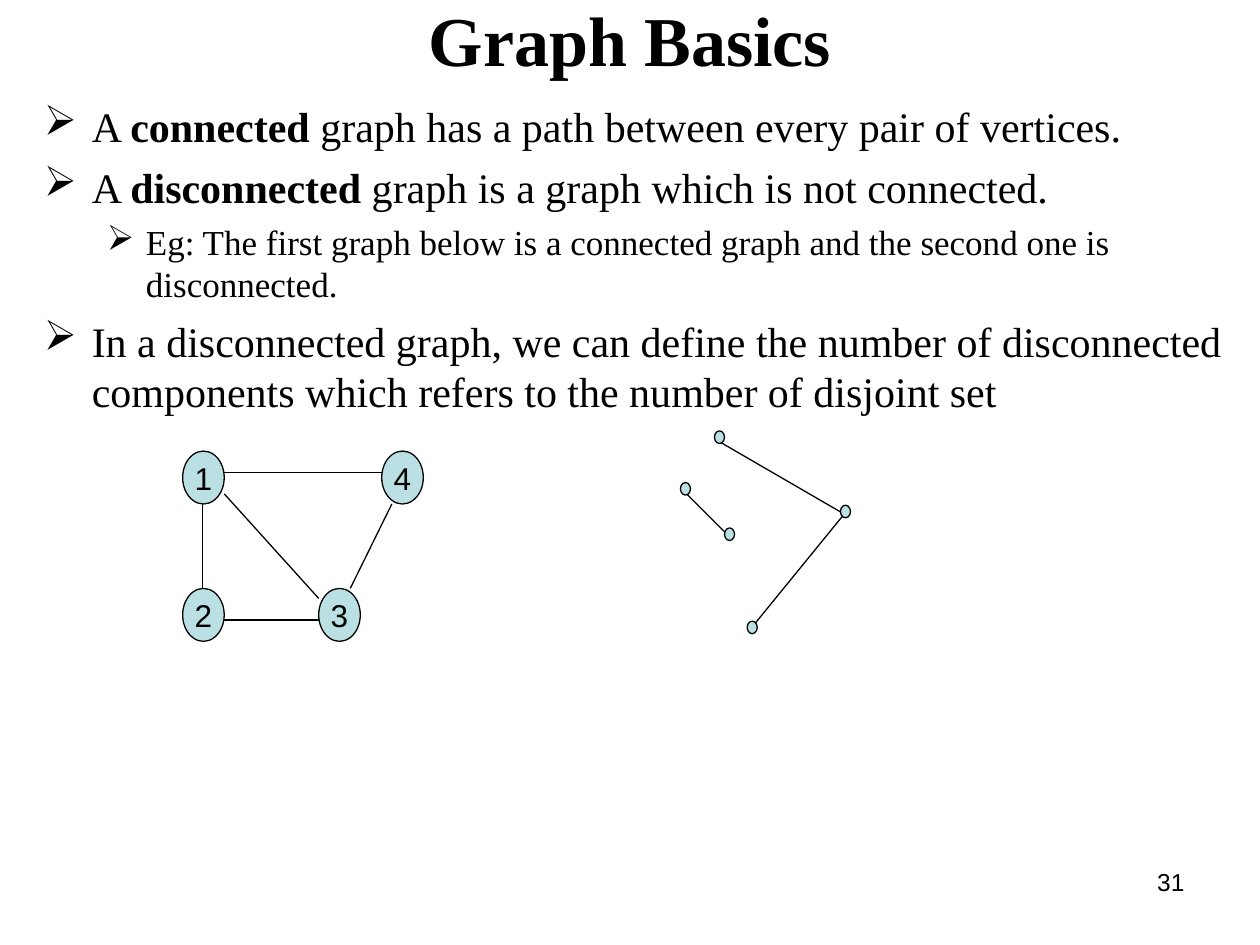
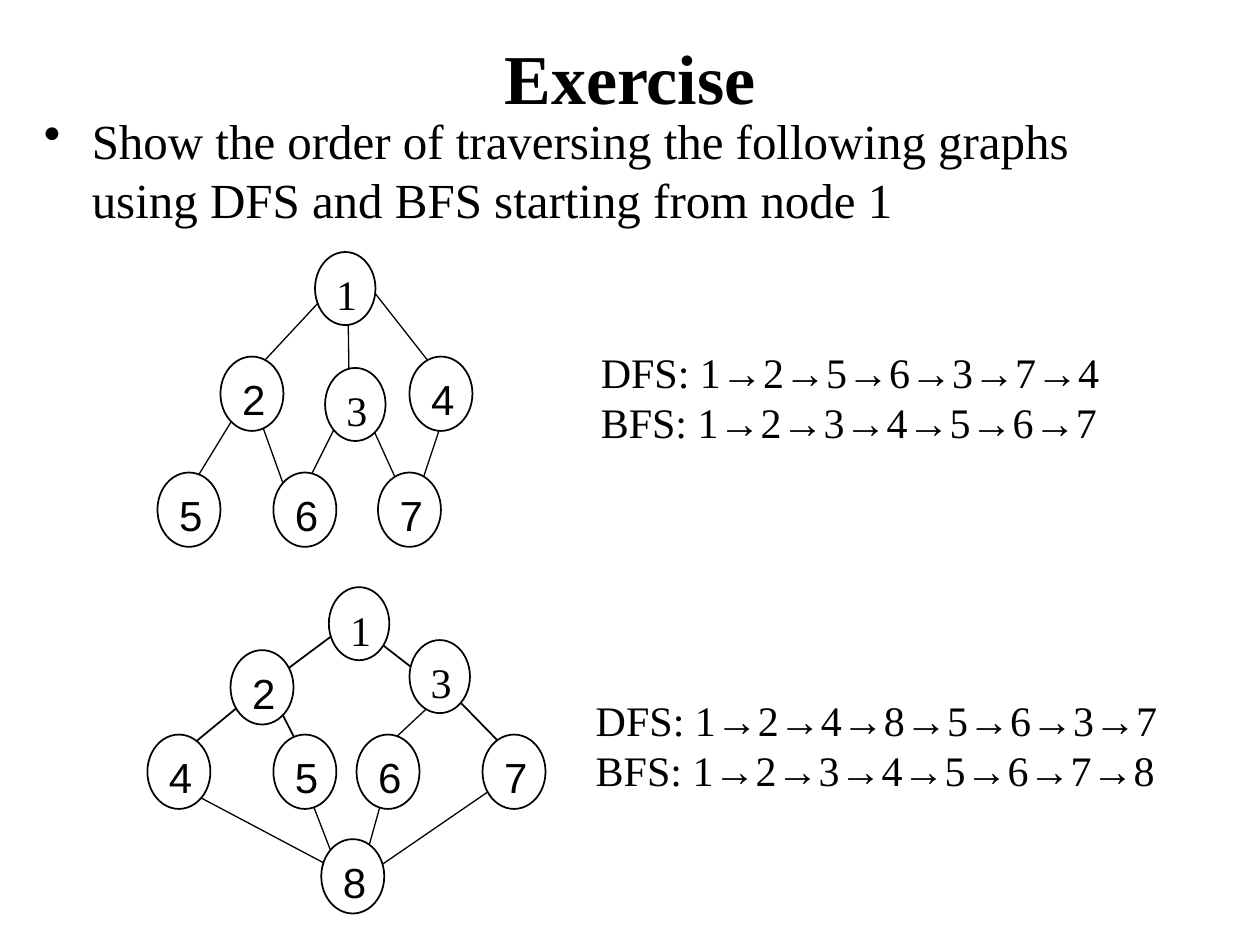
from dataclasses import dataclass
from typing import Any

from lxml import etree
from pptx import Presentation
from pptx import util as u
from pptx.dml.color import RGBColor
from pptx.enum import shapes, text
from pptx.oxml.ns import qn

PX = u.Inches(1) // 100
CENTER, LEFT, RIGHT = text.PP_ALIGN.CENTER, text.PP_ALIGN.LEFT, text.PP_ALIGN.RIGHT
TOP, MIDDLE = text.MSO_ANCHOR.TOP, text.MSO_ANCHOR.MIDDLE


@dataclass(frozen=True)
class Theme:
    ink: RGBColor = RGBColor(0, 0, 0)
    paper: RGBColor = RGBColor(255, 255, 255)
    aqua: RGBColor = RGBColor(0xBB, 0xE0, 0xE3)
    serif: str = "Times New Roman"
    sans: str = "Arial"
    title: int = 40
    lead: int = 28
    body: int = 24
    detail: int = 20
    label: int = 18
    page: int = 14
    thin: float = 0.75
    solid: float = 1


THEME = Theme()


@dataclass(frozen=True)
class Box:
    left: int
    top: int
    width: int
    height: int

    def emu(self) -> list[int]:
        return [px * PX for px in (self.left, self.top, self.width, self.height)]


@dataclass(frozen=True)
class Line:
    words: str
    size: int = THEME.body
    font: str = THEME.serif
    align: Any = LEFT
    before: int = 0
    margin: int = 0
    hanging: int = 0
    mark: str = ""


@dataclass(frozen=True)
class NodeStyle:
    width: int
    height: int
    fill: RGBColor
    weight: float
    size: int
    font: str
    align: Any
    anchor: Any
    wrap: bool


@dataclass(frozen=True)
class Node:
    label: str
    left: int
    top: int
    style: NodeStyle


@dataclass(frozen=True)
class Edge:
    x1: int
    y1: int
    x2: int
    y2: int
    weight: float = THEME.thin


@dataclass(frozen=True)
class Exercise:
    edges: list[Edge]
    nodes: list[Node]
    answer_box: Box
    answer_margin: int
    answers: list[str]


AQUA = NodeStyle(33, 42, THEME.aqua, THEME.thin, THEME.label, THEME.sans, CENTER, MIDDLE, False)
DOT = NodeStyle(8, 10, THEME.aqua, THEME.thin, THEME.label, THEME.sans, CENTER, MIDDLE, False)
SANS = NodeStyle(50, 59, THEME.paper, THEME.solid, THEME.body, THEME.sans, LEFT, TOP, True)
SERIF = NodeStyle(48, 58, THEME.paper, THEME.solid, THEME.body, THEME.serif, LEFT, TOP, True)

CONNECTED_EDGES = [
    Edge(178, 375, 303, 375), Edge(178, 392, 253, 475), Edge(278, 467, 311, 400),
    Edge(178, 492, 253, 492), Edge(161, 400, 161, 467),
]
CONNECTED_NODES = [
    Node("1", 145, 358, AQUA), Node("4", 303, 358, AQUA),
    Node("2", 145, 467, AQUA), Node("3", 253, 467, AQUA),
]
DISCONNECTED_EDGES = [
    Edge(570, 350, 670, 408), Edge(670, 408, 595, 500), Edge(545, 392, 578, 425),
]
DISCONNECTED_NODES = [
    Node("", left, top, DOT)
    for left, top in [(567, 342), (667, 401), (593, 493), (575, 419), (540, 383)]
]

BASICS = [
    Line("A **connected** graph has a path between every pair of vertices.",
         margin=38, hanging=38, mark="➢"),
    Line("A **disconnected** graph is a graph which is not connected.",
         before=6, margin=38, hanging=38, mark="➢"),
    Line("Eg: The first graph below is a connected graph and the second one is disconnected.",
         THEME.detail, before=5, margin=81, hanging=31, mark="➢"),
    Line("In a disconnected graph, we can define the number of disconnected components "
         "which refers to the number of disjoint set",
         before=6, margin=38, hanging=38, mark="➢"),
]
TASK = Line("Show the order of traversing the following graphs using DFS and BFS "
            "starting from node 1", THEME.lead, margin=38, hanging=38, mark="•")

EXERCISES = [
    Exercise(
        edges=[
            Edge(265, 227, 199, 298), Edge(276, 229, 277, 298), Edge(290, 223, 348, 297),
            Edge(187, 329, 146, 396), Edge(205, 329, 228, 393), Edge(272, 327, 239, 393),
            Edge(290, 327, 320, 393), Edge(353, 328, 329, 400),
        ],
        nodes=[
            Node("1", 250, 200, SERIF), Node("2", 175, 283, SANS), Node("3", 258, 292, SERIF),
            Node("4", 325, 283, SANS), Node("5", 125, 375, SANS), Node("6", 217, 375, SANS),
            Node("7", 300, 375, SANS),
        ],
        answer_box=Box(417, 270, 533, 130),
        answer_margin=50,
        answers=["DFS: 1→2→5→6→3→7→4", "BFS: 1→2→3→4→5→6→7"],
    ),
    Exercise(
        edges=[
            Edge(267, 502, 220, 537, THEME.solid), Edge(291, 502, 336, 537, THEME.solid),
            Edge(206, 547, 144, 598, THEME.solid), Edge(214, 547, 240, 598, THEME.solid),
            Edge(363, 555, 404, 597, THEME.solid), Edge(353, 549, 308, 591),
            Edge(240, 617, 267, 687), Edge(308, 617, 291, 678),
            Edge(302, 687, 404, 617), Edge(261, 687, 144, 625),
        ],
        nodes=[
            Node("1", 261, 466, SERIF), Node("2", 183, 516, SANS), Node("4", 117, 583, SANS),
            Node("5", 217, 583, SANS), Node("6", 283, 583, SANS), Node("3", 325, 508, SERIF),
            Node("7", 383, 583, SANS), Node("8", 255, 666, SANS),
        ],
        answer_box=Box(450, 546, 517, 130),
        answer_margin=13,
        answers=["DFS: 1→2→4→8→5→6→3→7", "BFS: 1→2→3→4→5→6→7→8"],
    ),
]


def apply(target: Any, values: dict[str, Any]) -> None:
    for name, value in values.items():
        setattr(target, name, value)


def write(frame: Any, lines: list[Line], anchor: Any = TOP, wrap: bool = True,
          bold: bool = False) -> None:
    apply(frame, {
        "auto_size": text.MSO_AUTO_SIZE.NONE, "word_wrap": wrap, "vertical_anchor": anchor,
        "margin_left": 10 * PX, "margin_right": 10 * PX,
        "margin_top": 5 * PX, "margin_bottom": 5 * PX,
    })
    for index, line in enumerate(lines):
        paragraph = frame.add_paragraph() if index else frame.paragraphs[0]
        properties = paragraph._p.get_or_add_pPr()
        properties.set("marL", str(line.margin * PX))
        properties.set("indent", str(-line.hanging * PX))
        if line.mark:
            etree.SubElement(properties, qn("a:buChar")).set("char", line.mark)
        apply(paragraph, {"alignment": line.align, "space_before": u.Pt(line.before)})
        for part, words in enumerate(line.words.split("**")):
            run = paragraph.add_run()
            run.text = words
            apply(run.font, {"name": line.font, "size": u.Pt(line.size),
                             "bold": bold or part % 2 == 1})
            run.font.color.rgb = THEME.ink


def add_title(slide: Any, words: str, box: Box) -> None:
    title = slide.shapes.title
    apply(title, dict(zip(("left", "top", "width", "height"), box.emu())))
    write(title.text_frame, [Line(words, THEME.title, align=CENTER)], MIDDLE, bold=True)


def add_text(canvas: Any, box: Box, lines: list[Line]) -> None:
    write(canvas.add_textbox(*box.emu()).text_frame, lines)


def add_edge(canvas: Any, edge: Edge) -> None:
    ends = [px * PX for px in (edge.x1, edge.y1, edge.x2, edge.y2)]
    link = canvas.add_connector(shapes.MSO_CONNECTOR.STRAIGHT, *ends)
    link.line.color.rgb = THEME.ink
    link.line.width = u.Pt(edge.weight)
    etree.SubElement(link._element.spPr, qn("a:effectLst"))


def add_node(canvas: Any, node: Node) -> None:
    style = node.style
    box = Box(node.left, node.top, style.width, style.height)
    vertex = canvas.add_shape(shapes.MSO_SHAPE.OVAL, *box.emu())
    vertex.shadow.inherit = False
    vertex.fill.solid()
    vertex.fill.fore_color.rgb = style.fill
    vertex.line.color.rgb = THEME.ink
    vertex.line.width = u.Pt(style.weight)
    if node.label:
        label = Line(node.label, style.size, style.font, style.align)
        write(vertex.text_frame, [label], style.anchor, style.wrap)


def add_graph(canvas: Any, edges: list[Edge], nodes: list[Node]) -> None:
    for edge in edges:
        add_edge(canvas, edge)
    for node in nodes:
        add_node(canvas, node)


def build_basics(slide: Any) -> None:
    add_title(slide, "Graph Basics", Box(50, 8, 900, 45))
    add_text(slide.shapes, Box(25, 75, 965, 650), BASICS)
    add_graph(slide.shapes, CONNECTED_EDGES, CONNECTED_NODES)
    add_graph(slide.shapes, DISCONNECTED_EDGES, DISCONNECTED_NODES)
    add_text(slide.shapes, Box(717, 683, 233, 52),
             [Line("31", THEME.page, THEME.sans, RIGHT)])


def build_exercise(slide: Any) -> None:
    add_title(slide, "Exercise", Box(50, 30, 900, 62))
    add_text(slide.shapes, Box(25, 83, 925, 633), [TASK])
    for exercise in EXERCISES:
        canvas = slide.shapes.add_group_shape().shapes
        add_graph(canvas, exercise.edges, exercise.nodes)
        add_text(canvas, exercise.answer_box,
                 [Line(words, margin=exercise.answer_margin) for words in exercise.answers])


def main() -> None:
    deck = Presentation()
    deck.slide_width, deck.slide_height = 1000 * PX, 750 * PX
    title_only = deck.slide_layouts[5]
    for build in (build_basics, build_exercise):
        build(deck.slides.add_slide(title_only))
    deck.save("out.pptx")


if __name__ == "__main__":
    main()
